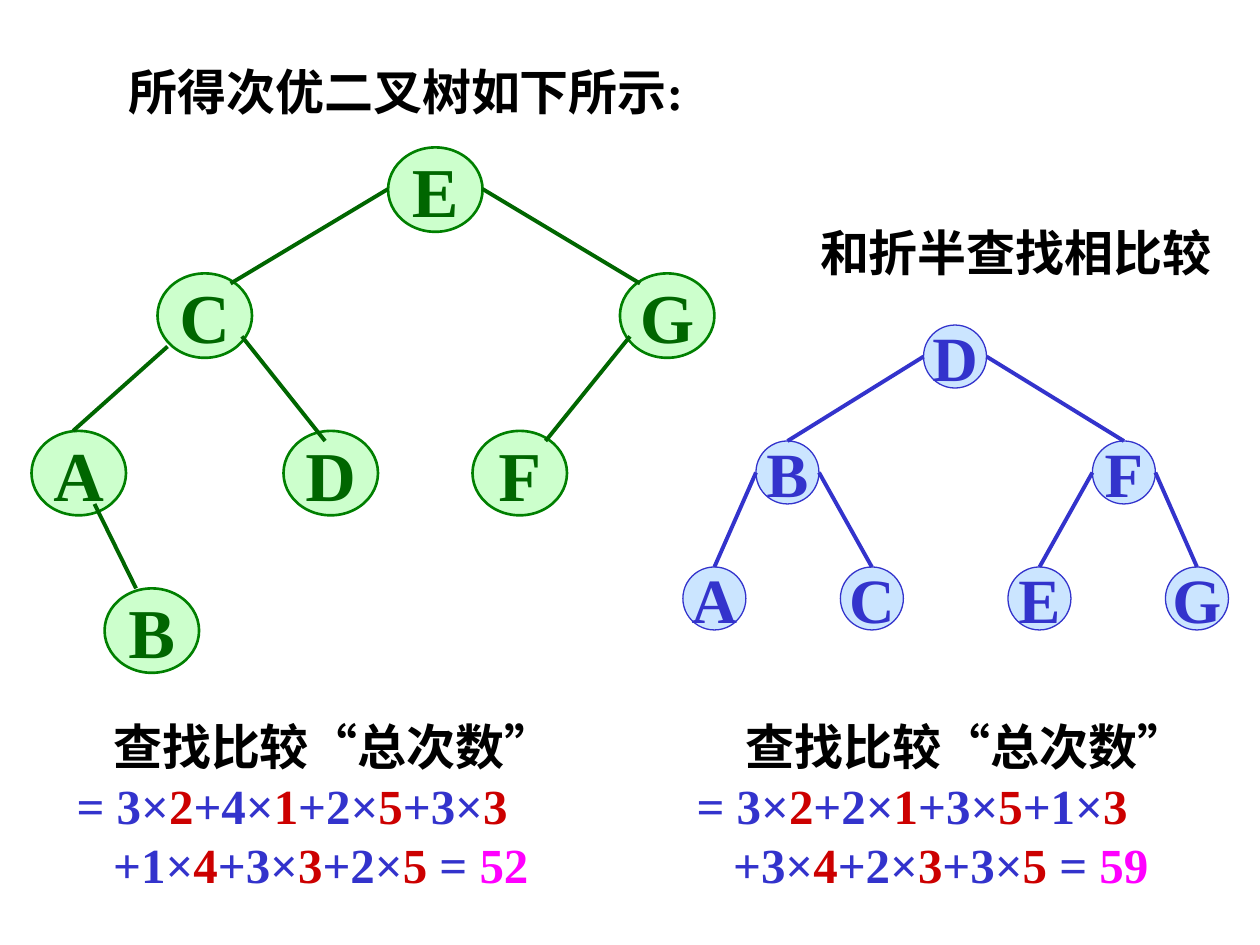
from dataclasses import dataclass

from lxml.etree import SubElement
from pptx import Presentation
from pptx.dml.color import RGBColor
from pptx.enum.shapes import MSO_CONNECTOR as CONNECTOR, MSO_SHAPE as SHAPE
from pptx.enum.text import MSO_ANCHOR as ANCHOR, MSO_AUTO_SIZE as AUTO_SIZE, PP_ALIGN as ALIGN
from pptx.oxml.ns import qn
from pptx.util import Inches, Pt


@dataclass(frozen=True)
class Theme:
    font: str = "Times New Roman"
    text_size: int = 28
    ink: str = "000000"
    weight: str = "3333CC"
    level: str = "CC0000"
    total: str = "FF00FF"
    edge_width: float = 2.25


@dataclass(frozen=True)
class TreeStyle:
    node_width: float
    node_height: float
    fill: str
    opacity: int
    outline: str
    outline_width: float
    ink: str
    letter_size: int


THEME = Theme()
GREEN = TreeStyle(0.75, 0.67, "CCFFCC", 100, "008000", 1.5, "006600", 40)
BLUE = TreeStyle(0.5, 0.5, "99CCFF", 50, "3333CC", 0.75, "3333CC", 36)

# Node positions are inches from the tree's corner.
OPTIMAL_NODES = {
    "E": (2.83, 0), "C": (1, 1), "G": (4.67, 1),
    "A": (0, 2.25), "B": (0.58, 3.5), "D": (2, 2.25), "F": (3.5, 2.25),
}
# Parent, child, then start and end as inches from the corner of each node.
OPTIMAL_EDGES = [
    ("E", "C", (0, 0.33), (0.58, 0.08)),
    ("C", "A", (0.08, 0.58), (0.33, 0)),
    ("C", "D", (0.67, 0.5), (0.33, 0.08)),
    ("A", "B", (0.5, 0.58), (0.25, 0)),
    ("E", "G", (0.75, 0.33), (0.16, 0.08)),
    ("G", "F", (0.08, 0.5), (0.58, 0.08)),
]
BINARY_NODES = {
    "D": (1.91, 0), "B": (0.58, 0.92), "A": (0, 1.92), "C": (1.25, 1.92),
    "F": (3.25, 0.92), "E": (2.58, 1.92), "G": (3.83, 1.92),
}
LEFT, RIGHT, TOP = (0, 0.25), (0.5, 0.25), (0.25, 0)
BINARY_EDGES = [
    (parent, child, side, TOP)
    for parent, children in (("D", "BF"), ("B", "AC"), ("F", "EG"))
    for child, side in zip(children, (LEFT, RIGHT))
]


def add_span(para, text, color, size=THEME.text_size):
    span = para.add_run()
    span.text = text
    span.font.name = THEME.font
    span.font.size = Pt(size)
    span.font.bold = True
    span.font.color.rgb = RGBColor.from_string(color)


def add_node(page, letter, left, top, style):
    node = page.shapes.add_shape(
        SHAPE.OVAL, Inches(left), Inches(top),
        Inches(style.node_width), Inches(style.node_height))
    node.shadow.inherit = False
    node.fill.solid()
    node.fill.fore_color.rgb = RGBColor.from_string(style.fill)
    if style.opacity < 100:
        color = node.fill._xPr.find(qn("a:solidFill"))[0]
        SubElement(color, qn("a:alpha"), val=str(style.opacity * 1000))
    node.line.color.rgb = RGBColor.from_string(style.outline)
    node.line.width = Pt(style.outline_width)
    frame = node.text_frame
    frame.word_wrap = False
    frame.vertical_anchor = ANCHOR.MIDDLE
    para = frame.paragraphs[0]
    para.alignment = ALIGN.CENTER
    add_span(para, letter, style.ink, style.letter_size)
    return node


def add_tree(page, left, top, nodes, edges, style):
    ovals = {letter: add_node(page, letter, left + x, top + y, style)
             for letter, (x, y) in nodes.items()}
    for parent, child, start, end in edges:
        ends = [Inches(corner + place + offset)
                for name, point in ((parent, start), (child, end))
                for corner, place, offset in zip((left, top), nodes[name], point)]
        edge = page.shapes.add_connector(CONNECTOR.STRAIGHT, *ends)
        if end == (style.node_width / 2, 0):
            edge.end_connect(ovals[child], 0)
        edge.line.color.rgb = RGBColor.from_string(style.ink)
        edge.line.width = Pt(THEME.edge_width)
        SubElement(edge._element.spPr, qn("a:effectLst"))


def fill_heading(box, text):
    frame = box.text_frame
    frame.word_wrap = False
    frame.auto_size = AUTO_SIZE.SHAPE_TO_FIT_TEXT
    frame.vertical_anchor = ANCHOR.TOP
    para = frame.paragraphs[0]
    para.alignment = ALIGN.LEFT
    add_span(para, text, THEME.ink)


def add_title(page, left, top, width, height, text):
    box = page.shapes.title
    box.left, box.top = Inches(left), Inches(top)
    box.width, box.height = Inches(width), Inches(height)
    fill_heading(box, text)


def add_heading(page, left, top, width, height, text):
    box = page.shapes.add_textbox(
        Inches(left), Inches(top), Inches(width), Inches(height))
    fill_heading(box, text)


def add_terms(para, terms, lead):
    """Write weight×level products joined by plus signs."""
    for weight, level in terms:
        add_span(para, f"{lead}{weight}×", THEME.weight)
        add_span(para, str(level), THEME.level)
        lead = "+"


def add_cost(page, left, top, width, height, title_indent, terms):
    box = page.shapes.add_textbox(
        Inches(left), Inches(top), Inches(width), Inches(height))
    frame = box.text_frame
    frame.word_wrap = True
    frame.auto_size = AUTO_SIZE.SHAPE_TO_FIT_TEXT
    title, first, second = frame.paragraphs[0], frame.add_paragraph(), frame.add_paragraph()
    for para, indent in ((title, title_indent), (first, 0.1), (second, 0.39)):
        properties = para._p.get_or_add_pPr()
        properties.set("marL", str(Inches(indent)))
        properties.set("indent", "0")
    add_span(title, "查找比较“总次数”", THEME.ink)
    add_terms(first, terms[:4], "= ")
    add_terms(second, terms[4:], "+")
    add_span(second, " = ", THEME.weight)
    total = sum(weight * level for weight, level in terms)
    add_span(second, str(total), THEME.total)


def main():
    deck = Presentation()
    deck.slide_width, deck.slide_height = Inches(10), Inches(7.5)
    page = deck.slides.add_slide(deck.slide_layouts.get_by_name("Title Only"))
    add_title(page, 0.92, 0.44, 4.61, 0.57, "所得次优二叉树如下所示:")
    add_tree(page, 0.25, 1.17, OPTIMAL_NODES, OPTIMAL_EDGES, GREEN)
    add_cost(page, 0.41, 5.64, 4.09, 1.5, 0.39,
             [(3, 2), (4, 1), (2, 5), (3, 3), (1, 4), (3, 3), (2, 5)])
    add_heading(page, 6.41, 1.72, 3.31, 0.57, "和折半查找相比较")
    add_tree(page, 5.42, 2.58, BINARY_NODES, BINARY_EDGES, BLUE)
    add_cost(page, 5.33, 5.64, 4.19, 1.5, 0.49,
             [(3, 2), (2, 1), (3, 5), (1, 3), (3, 4), (2, 3), (3, 5)])
    deck.save("out.pptx")


if __name__ == "__main__":
    main()
